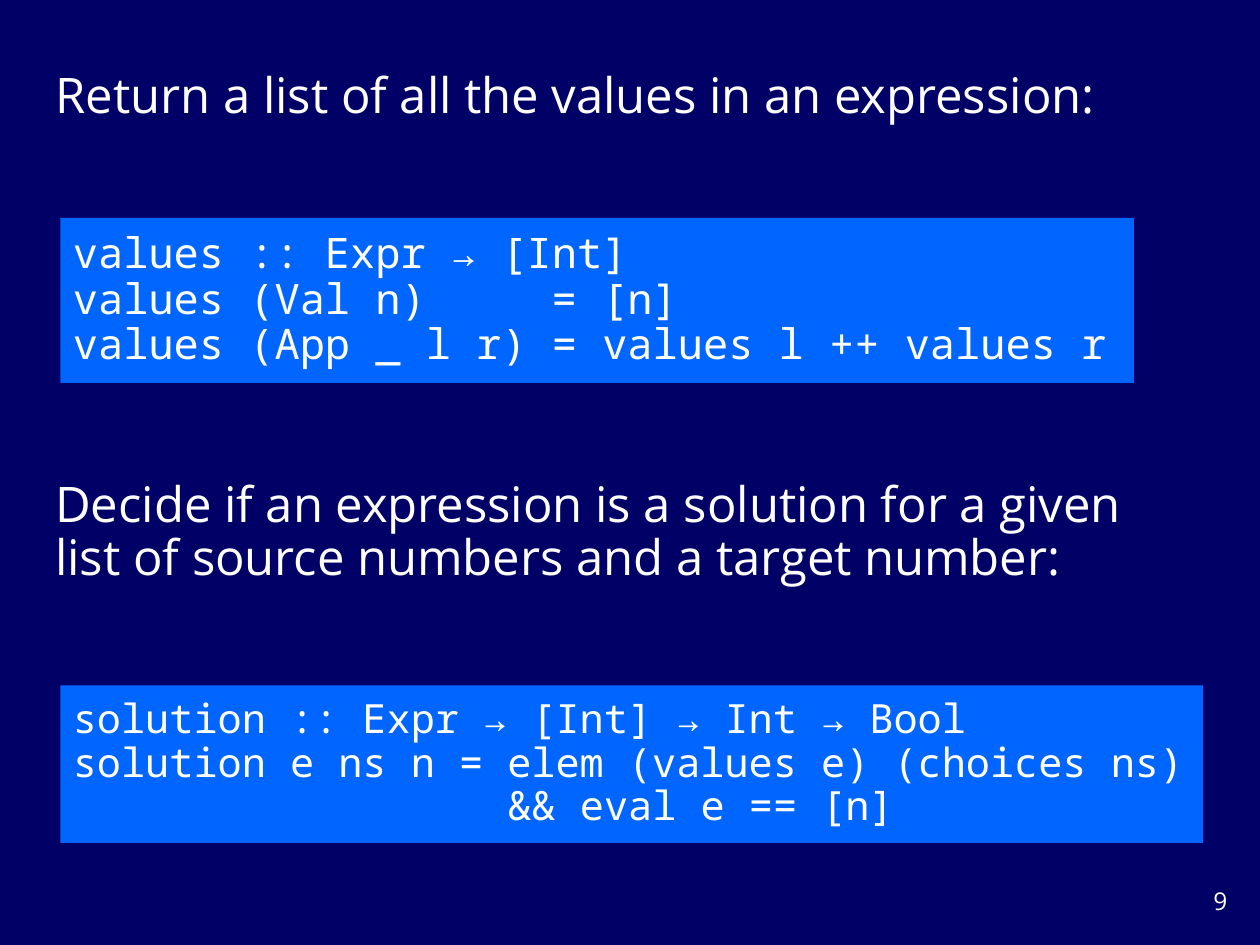
from lxml import etree
from pptx import Presentation
from pptx.dml.color import RGBColor
from pptx.enum.shapes import MSO_SHAPE
from pptx.enum.text import MSO_ANCHOR, MSO_AUTO_SIZE, PP_ALIGN
from pptx.oxml.ns import qn
from pptx.util import Inches, Pt

NAVY = RGBColor(0x00, 0x00, 0x66)
BLUE = RGBColor(0x00, 0x66, 0xFF)
WHITE = RGBColor(0xFF, 0xFF, 0xFF)
RECTANGLE = MSO_SHAPE.RECTANGLE
MIDDLE = MSO_ANCHOR.MIDDLE
NO_FIT = MSO_AUTO_SIZE.NONE
LEFT, RIGHT = PP_ALIGN.LEFT, PP_ALIGN.RIGHT

TITLE_ONLY = 5
CODE_LEFT = 0.48
PROMPT_LEFT = 0.34
MONO_ADVANCE = 0.6


class SlideBuilder:
    """Adds prompts, code panels and a page number in one shared style."""

    prose_font = "Open Sans"
    code_font = "Noto Sans Mono"
    prompt_size = 28
    line_spacing = 0.9

    def __init__(self, deck):
        self.slide = deck.slides.add_slide(deck.slide_layouts[TITLE_ONLY])
        self.slide.background.fill.solid()
        self.slide.background.fill.fore_color.rgb = NAVY

    def set_text(self, shape, text, font, size, align=LEFT):
        frame = shape.text_frame
        frame.text = text
        frame.word_wrap = True
        frame.auto_size = NO_FIT
        frame.vertical_anchor = MIDDLE
        for para in frame.paragraphs:
            para.alignment = align
            para.line_spacing = self.line_spacing
            for span in para.runs:
                span.font.name = font
                span.font.size = Pt(size)
                span.font.color.rgb = WHITE

    def title(self, text, top, width, height):
        box = self.slide.shapes.title
        box.left, box.top = Inches(PROMPT_LEFT), Inches(top)
        box.width, box.height = Inches(width), Inches(height)
        self.set_text(box, text, self.prose_font, self.prompt_size)

    def prompt(self, text, top, width, height):
        box = self.slide.shapes.add_textbox(
            Inches(PROMPT_LEFT), Inches(top), Inches(width), Inches(height))
        self.set_text(box, text, self.prose_font, self.prompt_size)

    def code(self, lines, top, width, height, size, tab_column):
        panel = self.slide.shapes.add_shape(
            RECTANGLE, Inches(CODE_LEFT), Inches(top), Inches(width), Inches(height))
        panel.shadow.inherit = False
        panel.fill.solid()
        panel.fill.fore_color.rgb = BLUE
        panel.line.fill.background()
        self.set_text(panel, "\n".join(lines), self.code_font, size)
        tab_position = Pt(tab_column * size * MONO_ADVANCE)
        for para in panel.text_frame.paragraphs:
            if "\t" in para.text:
                properties = para._p.get_or_add_pPr()
                tabs = etree.SubElement(properties, qn("a:tabLst"))
                etree.SubElement(tabs, qn("a:tab"), pos=str(int(tab_position)), algn="l")

    def page_number(self, number):
        box = self.slide.shapes.add_textbox(
            Inches(9.17), Inches(7), Inches(0.67), Inches(0.33))
        self.set_text(box, str(number), self.prose_font, 14, RIGHT)


deck = Presentation()
deck.slide_width, deck.slide_height = Inches(10), Inches(7.5)

builder = SlideBuilder(deck)
builder.title("Return a list of all the values in an expression:", 0.49, 8.84, 0.57)
builder.code(
    ["values :: Expr → [Int]",
     "values (Val n)\t= [n]",
     "values (App _ l r) = values l ++ values r"],
    top=1.73, width=8.52, height=1.31, size=24, tab_column=19)
builder.prompt(
    "Decide if an expression is a solution for a given "
    "list of source numbers and a target number:", 3.72, 9.01, 1.03)
builder.code(
    ["solution :: Expr → [Int] → Int → Bool",
     "solution e ns n = elem (values e) (choices ns)",
     "\t&& eval e == [n]"],
    top=5.44, width=9.07, height=1.25, size=23, tab_column=18)
builder.page_number(9)

deck.save("out.pptx")
